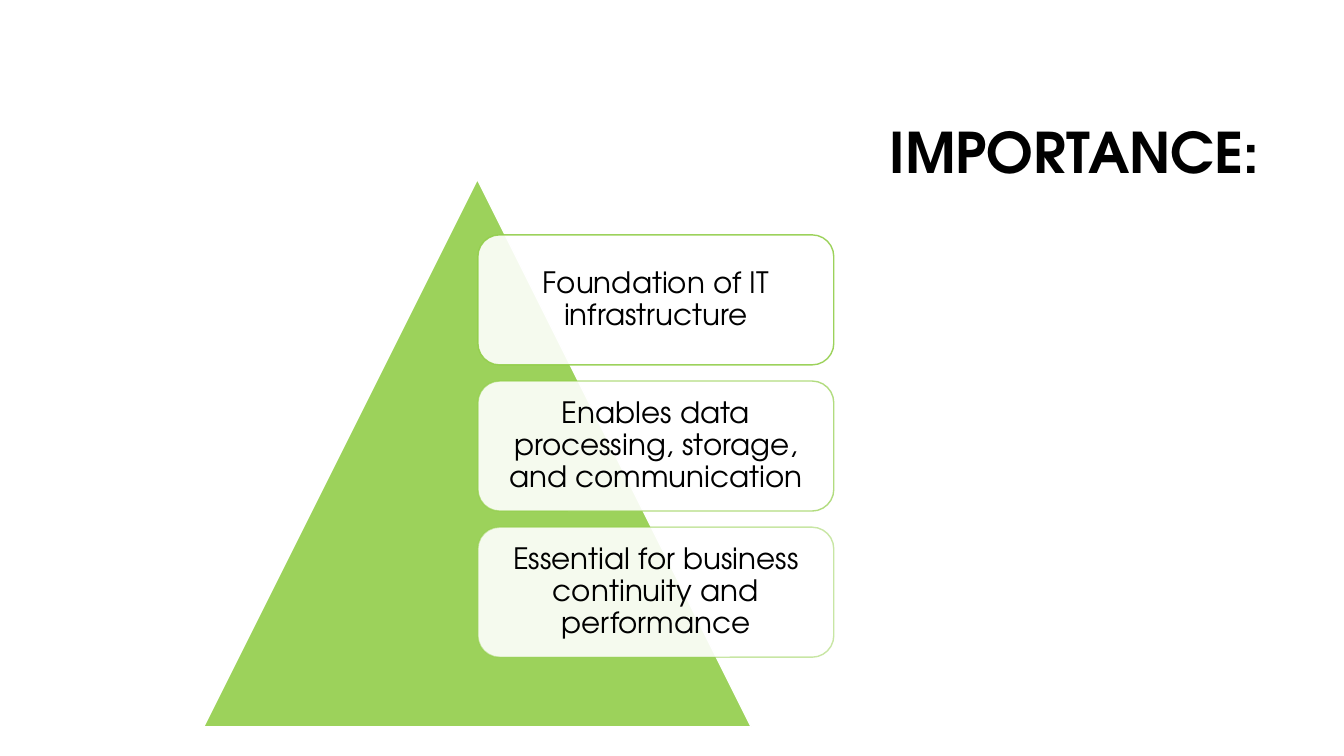
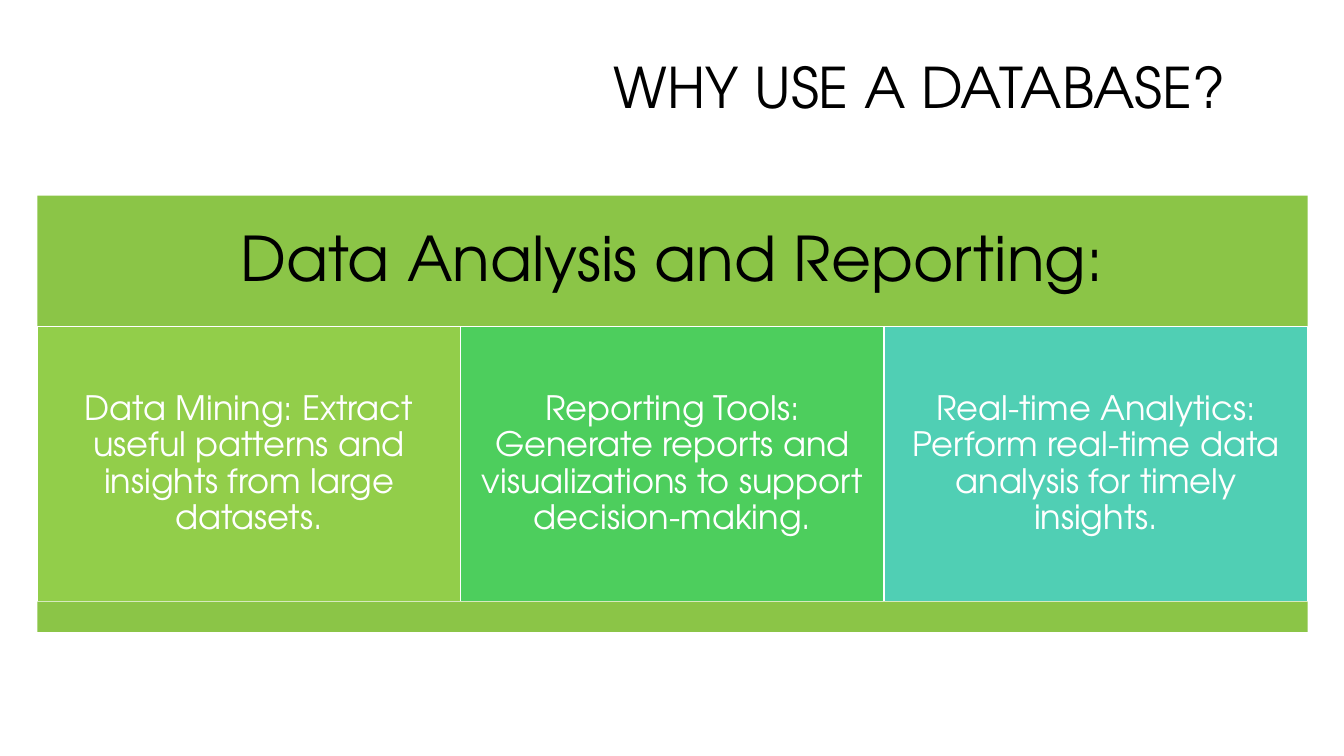
import pptx
import pptx.util
import pptx.dml.color
import pptx.enum.shapes
import pptx.enum.text
import pptx.oxml.ns
import pptx.oxml.xmlchemy
from dataclasses import dataclass

PX = 9144  # EMU per px, 100 px to the inch
SLIDE_W, SLIDE_H = 1333, 750

IMPORTANCE = {
    "title": "IMPORTANCE:",
    "reasons": [  # text, outline opacity in percent
        ("Foundation of IT infrastructure", 90),
        ("Enables data processing, storage, and communication", 70),
        ("Essential for business continuity and performance", 50),
    ],
}
DATABASE = {
    "title": "WHY USE A DATABASE?",
    "heading": "Data Analysis and Reporting:",
    "uses": [  # text, fill
        ("Data Mining: Extract useful patterns and insights from large datasets.", "92CE4A"),
        ("Reporting Tools: Generate reports and visualizations to support decision-making.", "4DCE5D"),
        ("Real-time Analytics: Perform real-time data analysis for timely insights.", "50CFB4"),
    ],
}


@dataclass(frozen=True)
class Theme:
    font: str = "TeX Gyre Adventor"
    ink: str = "000000"
    paper: str = "FFFFFF"
    accent: str = "92CE4A"
    band: str = "8BC547"
    title_size: int = 40
    heading_size: int = 44
    use_size: int = 24
    reason_size: int = 21
    line_width: int = 1


THEME = Theme()
SHAPE = pptx.enum.shapes.MSO_SHAPE
ALIGN = pptx.enum.text.PP_ALIGN


def paint(fill, color, opacity=100):
    fill.solid()
    fill.fore_color.rgb = pptx.dml.color.RGBColor.from_string(color)
    if opacity < 100:
        solid = fill._xPr.find(pptx.oxml.ns.qn("a:solidFill"))
        alpha = pptx.oxml.xmlchemy.OxmlElement("a:alpha")
        alpha.set("val", str(opacity * 1000))
        solid[0].append(alpha)


def write(shape, text, size, color=THEME.ink, bold=False, align=ALIGN.CENTER, inset=10):
    frame = shape.text_frame
    frame.word_wrap = True
    frame.auto_size = pptx.enum.text.MSO_AUTO_SIZE.NONE
    frame.vertical_anchor = pptx.enum.text.MSO_ANCHOR.MIDDLE
    frame.margin_left = frame.margin_right = inset * PX
    frame.margin_top = frame.margin_bottom = inset * PX
    paragraph = frame.paragraphs[0]
    paragraph.alignment = align
    paragraph.line_spacing = 0.9
    run = paragraph.add_run()
    run.text = text
    run.font.name = THEME.font
    run.font.size = pptx.util.Pt(size)
    run.font.bold = bold
    run.font.color.rgb = pptx.dml.color.RGBColor.from_string(color)


def add_block(slide, kind, box, fill, opacity=100, outline=None, outline_opacity=100):
    block = slide.shapes.add_shape(kind, *(n * PX for n in box))
    block.shadow.inherit = False
    paint(block.fill, fill, opacity)
    if outline:
        block.line.width = pptx.util.Pt(THEME.line_width)
        paint(block.line.fill, outline, outline_opacity)
    else:
        block.line.fill.background()
    return block


def add_titled_slide(deck, text, box, bold=False):
    slide = deck.slides.add_slide(deck.slide_layouts.get_by_name("Title Only"))
    paint(slide.background.fill, THEME.paper)
    title = slide.shapes.title
    title.left, title.top, title.width, title.height = (n * PX for n in box)
    write(title, text, THEME.title_size, bold=bold, align=ALIGN.RIGHT)
    return slide


def build_importance(deck):
    slide = add_titled_slide(deck, IMPORTANCE["title"], (317, 84, 942, 141), bold=True)
    add_block(slide, SHAPE.ISOSCELES_TRIANGLE, (202, 178, 543, 543),
              THEME.accent, opacity=90, outline=THEME.paper)
    left, top, width, height, gap = 474, 233, 353, 129, 16
    for row, (text, outline_opacity) in enumerate(IMPORTANCE["reasons"]):
        card = add_block(slide, SHAPE.ROUNDED_RECTANGLE,
                         (left, top + row * (height + gap), width, height),
                         THEME.paper, opacity=90,
                         outline=THEME.accent, outline_opacity=outline_opacity)
        write(card, text, THEME.reason_size, inset=9)


def build_database(deck):
    slide = add_titled_slide(deck, DATABASE["title"], (26, 13, 1200, 153))
    left, top, width = 37, 194, 1260
    heading_h, use_h, base_h = 130, 273, 30
    heading = add_block(slide, SHAPE.RECTANGLE, (left, top, width, heading_h), THEME.band)
    write(heading, DATABASE["heading"], THEME.heading_size, inset=18)
    use_top = top + heading_h
    use_w = width // len(DATABASE["uses"])
    for column, (text, fill) in enumerate(DATABASE["uses"]):
        use = add_block(slide, SHAPE.RECTANGLE,
                        (left + column * use_w, use_top, use_w, use_h),
                        fill, outline=THEME.paper)
        write(use, text, THEME.use_size, color=THEME.paper)
    add_block(slide, SHAPE.RECTANGLE, (left, use_top + use_h, width, base_h), THEME.band)


def main():
    deck = pptx.Presentation()
    deck.slide_width, deck.slide_height = SLIDE_W * PX, SLIDE_H * PX
    build_importance(deck)
    build_database(deck)
    deck.save("out.pptx")


if __name__ == "__main__":
    main()
